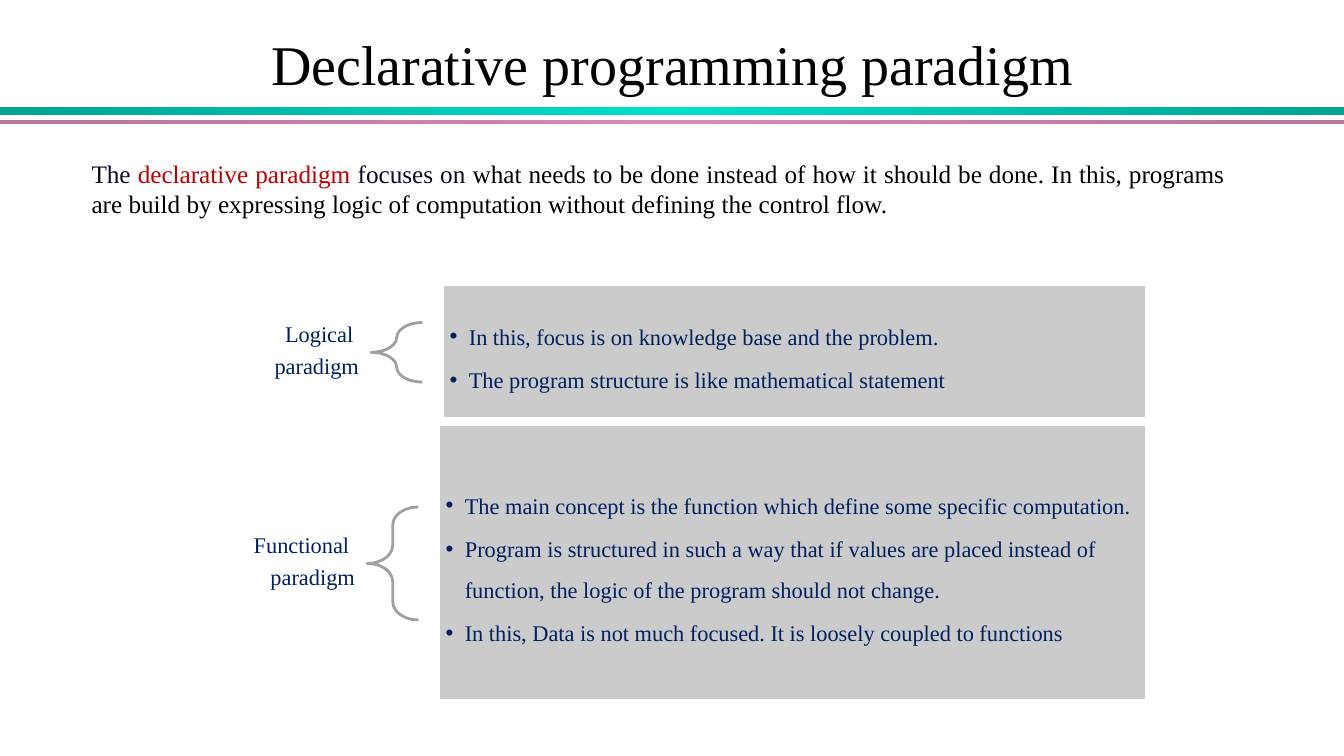
from copy import deepcopy

from lxml.etree import SubElement
from pptx import Presentation
from pptx.dml.color import RGBColor
from pptx.enum.shapes import MSO_SHAPE
from pptx.enum.text import MSO_ANCHOR, PP_ALIGN
from pptx.oxml.ns import qn
from pptx.util import Inches, Pt

FONT = "Times New Roman"
BLACK = RGBColor(0x00, 0x00, 0x00)
WHITE = RGBColor(0xFF, 0xFF, 0xFF)
INK = RGBColor(0x0A, 0x0A, 0x23)
RED = RGBColor(0xC0, 0x00, 0x00)
NAVY = RGBColor(0x00, 0x20, 0x60)
PANEL_GRAY = RGBColor(0xCB, 0xCB, 0xCB)
BRACE_GRAY = RGBColor(0xA0, 0xA0, 0xA0)
TEAL_DARK = RGBColor(0x00, 0xA2, 0x93)
TEAL_LIGHT = RGBColor(0x00, 0xDF, 0xCA)
PINK_DARK = RGBColor(0xB8, 0x74, 0x9C)
PINK_LIGHT = RGBColor(0xD9, 0x89, 0xB8)

PAGE_WIDTH = 13.33
PANEL_RIGHT = 11.375
LABEL_LEFT = 1.11
BRACE_WIDTH = 0.51
PANEL_GAP = 0.2


def write_text(shape, paragraphs, size=16, color=NAVY, align=PP_ALIGN.LEFT,
               anchor=MSO_ANCHOR.MIDDLE, insets=(0.1, 0.05), line_spacing=1.0,
               gap=0, bullet_indent=None):
    frame = shape.text_frame
    frame.word_wrap = True
    frame.vertical_anchor = anchor
    frame.margin_left = frame.margin_right = Inches(insets[0])
    frame.margin_top = frame.margin_bottom = Inches(insets[1])
    for index, spans in enumerate(paragraphs):
        para = frame.paragraphs[0] if index == 0 else frame.add_paragraph()
        para.alignment = align
        para.line_spacing = line_spacing
        para.space_before = Pt(gap if index else 0)
        if bullet_indent:
            add_bullet(para, bullet_indent, color)
        if isinstance(spans, str):
            spans = [(spans, color)]
        for words, span_color in spans:
            span = para.add_run()
            span.text = words
            span.font.name = FONT
            span.font.size = Pt(size)
            span.font.color.rgb = span_color


def add_bullet(para, indent, color):
    properties = para._p.get_or_add_pPr()
    properties.set("marL", str(Inches(indent)))
    properties.set("indent", str(-Inches(indent)))
    bullet_color = SubElement(properties, qn("a:buClr"))
    SubElement(bullet_color, qn("a:srgbClr"), val=str(color))
    SubElement(properties, qn("a:buFont"), typeface="Arial")
    SubElement(properties, qn("a:buChar"), char="•")


def add_text_box(page, box, paragraphs, **text_format):
    shape = page.shapes.add_textbox(*map(Inches, box))
    write_text(shape, paragraphs, **text_format)


def add_plain_shape(page, kind, box, fill=None, line=None):
    shape = page.shapes.add_shape(kind, *map(Inches, box))
    shape.shadow.inherit = False
    if fill is None:
        shape.fill.background()
    else:
        shape.fill.solid()
        shape.fill.fore_color.rgb = fill
    if line is None:
        shape.line.fill.background()
    else:
        shape.line.color.rgb = line
        shape.line.width = Pt(2)
    return shape


def add_gradient_band(page, box, edge, middle):
    band = add_plain_shape(page, MSO_SHAPE.RECTANGLE, box)
    band.fill.gradient()
    stop_list = band._element.spPr.find(qn("a:gradFill")).find(qn("a:gsLst"))
    stop_list.append(deepcopy(stop_list[-1]))
    stops = zip(band.fill.gradient_stops, (0, 0.5, 1), (edge, middle, edge))
    for stop, position, color in stops:
        stop.position = position
        stop.color.rgb = color
    band.fill.gradient_angle = 0


def add_header(page, box):
    left, top, width, height = box
    add_gradient_band(page, (left, top + 1.06, width, 0.08), TEAL_DARK, TEAL_LIGHT)
    add_gradient_band(page, (left, top + 1.19, width, 0.04), PINK_DARK, PINK_LIGHT)
    add_text_box(page, (left + 0.22, top + 0.33, width - 0.44, 0.67),
                 ["Declarative programming paradigm"], size=40, color=BLACK,
                 align=PP_ALIGN.CENTER, line_spacing=0.9)


def add_introduction(page, box):
    spans = [
        ("The ", INK),
        ("declarative paradigm ", RED),
        ("focuses on ", INK),
        ("what needs to be done instead of how it should be done. In this, "
         "programs are build by expressing logic of computation without "
         "defining the control flow. ", BLACK),
    ]
    add_text_box(page, box, [spans], size=18, align=PP_ALIGN.JUSTIFY,
                 anchor=MSO_ANCHOR.TOP)


def add_paradigm(page, box, label, points, brace_height):
    left, top, width, height = box
    panel_left = left + width
    brace_left = panel_left - PANEL_GAP - BRACE_WIDTH
    middle = top + height / 2 + 0.01
    add_text_box(page, (left, top, brace_left - left, height), label,
                 align=PP_ALIGN.RIGHT, insets=(0.12, 0.04),
                 line_spacing=0.9, gap=5.6)
    brace = add_plain_shape(
        page, MSO_SHAPE.LEFT_BRACE,
        (brace_left, middle - brace_height / 2, BRACE_WIDTH, brace_height),
        line=BRACE_GRAY)
    brace.adjustments[0] = 0.35
    panel = add_plain_shape(
        page, MSO_SHAPE.RECTANGLE,
        (panel_left, top, PANEL_RIGHT - panel_left, height),
        fill=PANEL_GRAY, line=WHITE)
    write_text(panel, points, insets=(0.07, 0.07), line_spacing=1.5,
               gap=2.4, bullet_indent=0.19)


deck = Presentation()
deck.slide_width = Inches(PAGE_WIDTH)
deck.slide_height = Inches(7.5)
page = deck.slides.add_slide(deck.slide_layouts[6])

add_header(page, (0, 0, PAGE_WIDTH, 1.23))
add_introduction(page, (0.81, 1.52, 11.44, 1.01))
add_paradigm(
    page, (LABEL_LEFT, 2.82, 3.28, 1.33), ["Logical ", "paradigm"],
    ["In this, focus is on knowledge base and the problem. ",
     "The program structure is like mathematical statement"],
    brace_height=0.59)
add_paradigm(
    page, (LABEL_LEFT, 4.21, 3.24, 2.74), ["Functional ", "paradigm"],
    ["The main concept is the function which define some specific computation. ",
     "Program is structured in such a way that if values are placed instead of "
     "function, the logic of the program should not change.",
     "In this, Data is not much focused. It is loosely coupled to functions"],
    brace_height=1.12)

deck.save("out.pptx")
